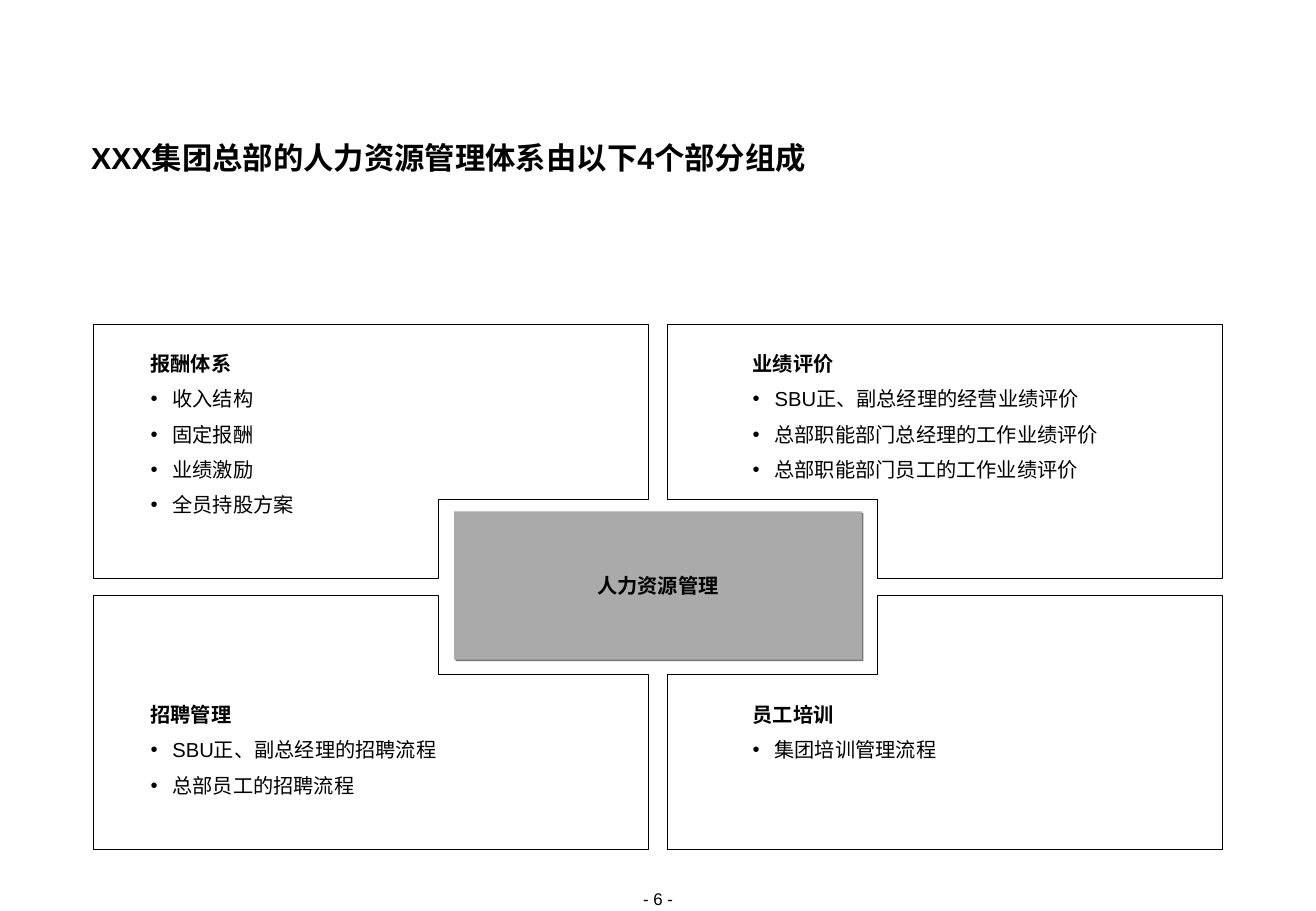
from itertools import product

from lxml.etree import SubElement
from pptx import Presentation
from pptx.dml.color import RGBColor
from pptx.enum.shapes import MSO_SHAPE
from pptx.enum.text import MSO_ANCHOR as Anchor, MSO_AUTO_SIZE as AutoSize, PP_ALIGN as Align
from pptx.oxml.ns import qn
from pptx.util import Inches, Pt

CENTER_X, CENTER_Y = 5.42, 4.83
SECTIONS = [
    (1.23, 2.87, 1.86, 1.39, "报酬体系", ["收入结构", "固定报酬", "业绩激励", "全员持股方案"]),
    (6.19, 2.87, 3.7, 1.1, "业绩评价", ["SBU正、副总经理的经营业绩评价",
                                    "总部职能部门总经理的工作业绩评价",
                                    "总部职能部门员工的工作业绩评价"]),
    (1.23, 5.76, 3.6, 0.81, "招聘管理", ["SBU正、副总经理的招聘流程", "总部员工的招聘流程"]),
    (6.19, 5.76, 3.6, 0.51, "员工培训", ["集团培训管理流程"]),
]


def color(value):
    """Turn a hex string into a colour."""
    return RGBColor.from_string(value)


class SlideBuilder:
    """Hold the style and the current slide, and draw each kind of element."""

    font_name = "Arial"
    ink = "000000"

    def __init__(self, slide):
        """Keep the slide to draw on."""
        self.slide = slide

    def place(self, shape, left, top, width, height):
        """Move and resize a shape, in inches."""
        shape.left, shape.top = Inches(left), Inches(top)
        shape.width, shape.height = Inches(width), Inches(height)

    def prepare(self, frame, anchor=Anchor.TOP):
        """Give a text frame wrapping, no margins and a fixed size."""
        frame.word_wrap = True
        frame.auto_size = AutoSize.NONE
        frame.vertical_anchor = anchor
        frame.margin_left = frame.margin_right = frame.margin_top = frame.margin_bottom = 0

    def style(self, paragraph, size, bold=False, align=Align.LEFT):
        """Format a paragraph and its runs."""
        paragraph.alignment = align
        for run in paragraph.runs:
            run.font.name = self.font_name
            run.font.size = Pt(size)
            run.font.bold = bold
            run.font.color.rgb = color(self.ink)

    def title(self, text):
        """Fill the title placeholder."""
        heading = self.slide.shapes.title
        self.place(heading, 0.75, 1.17, 9.33, 0.28)
        heading.text_frame.text = text
        self.prepare(heading.text_frame)
        paragraph = heading.text_frame.paragraphs[0]
        paragraph.line_spacing = Pt(20)
        self.style(paragraph, 18, True)

    def bullet(self, paragraph, shown):
        """Set the hanging indent and the bullet of a paragraph."""
        properties = paragraph._p.get_or_add_pPr()
        properties.set("marL", str(Inches(0.19)))
        properties.set("indent", str(Inches(-0.18)))
        if shown:
            tint = SubElement(properties, qn("a:buClr"))
            SubElement(tint, qn("a:srgbClr"), val=self.ink)
            SubElement(properties, qn("a:buFont"), typeface=self.font_name)
            SubElement(properties, qn("a:buChar"), char="•")
        else:
            SubElement(properties, qn("a:buNone"))

    def section(self, body, left, top, width, height, heading, items):
        """Fill a body placeholder with a heading and its bullets."""
        self.place(body, left, top, width, height)
        body.text_frame.text = "\n".join([heading, *items])
        self.prepare(body.text_frame)
        for index, paragraph in enumerate(body.text_frame.paragraphs):
            self.bullet(paragraph, index > 0)
            paragraph.line_spacing = 1.1
            paragraph.space_before = Pt(5.2 if index else 0)
            self.style(paragraph, 12, index == 0)

    def notched_panel(self, side_x, side_y):
        """Outline one quadrant panel, notched towards the centre."""
        inner_x, notch_x, outer_x = (Inches(CENTER_X + side_x * d) for d in (0.08, 1.81, 4.65))
        inner_y, notch_y, outer_y = (Inches(CENTER_Y + side_y * d) for d in (0.07, 0.72, 2.16))
        outline = self.slide.shapes.build_freeform(inner_x, notch_y)
        outline.add_line_segments([(inner_x, outer_y), (outer_x, outer_y), (outer_x, inner_y),
                                   (notch_x, inner_y), (notch_x, notch_y)])
        panel = outline.convert_to_shape()
        panel.shadow.inherit = False
        panel.fill.background()
        panel.line.color.rgb = color(self.ink)
        panel.line.width = Pt(0.5)

    def core(self, text):
        """Draw the shaded central box with its label."""
        box = self.slide.shapes.add_shape(MSO_SHAPE.RECTANGLE, 0, 0, 0, 0)
        self.place(box, 3.74, 4.21, 3.36, 1.22)
        box.fill.solid()
        box.fill.fore_color.rgb = color("AAAAAA")
        box.line.fill.background()
        box.shadow.inherit = False
        effects = box._element.spPr.find(qn("a:effectLst"))
        shade = SubElement(effects, qn("a:outerShdw"), blurRad="0", dist=str(Pt(1.4)),
                           dir="2700000", algn="ctr", rotWithShape="0")
        SubElement(shade, qn("a:srgbClr"), val="777777")
        box.text_frame.text = text
        self.prepare(box.text_frame, Anchor.MIDDLE)
        self.style(box.text_frame.paragraphs[0], 12, True, Align.CENTER)

    def page_number(self, text):
        """Write the page number at the foot."""
        footer = self.slide.shapes.add_textbox(0, 0, 0, 0)
        self.place(footer, 4.85, 7.32, 1.14, 0.17)
        footer.text_frame.text = text
        self.prepare(footer.text_frame)
        self.style(footer.text_frame.paragraphs[0], 10, align=Align.CENTER)


def main():
    """Build and save the slide."""
    deck = Presentation()
    deck.slide_width, deck.slide_height = Inches(10.84), Inches(7.5)
    comparison = deck.slide_layouts[4]
    builder = SlideBuilder(deck.slides.add_slide(comparison))
    bodies = list(builder.slide.placeholders)[1:]
    builder.title("XXX集团总部的人力资源管理体系由以下4个部分组成")
    for side_x, side_y in product((-1, 1), repeat=2):
        builder.notched_panel(side_x, side_y)
    builder.core("人力资源管理")
    for body, section in zip(bodies, SECTIONS):
        builder.section(body, *section)
    builder.page_number("- 6 -")
    deck.save("out.pptx")


if __name__ == "__main__":
    main()
